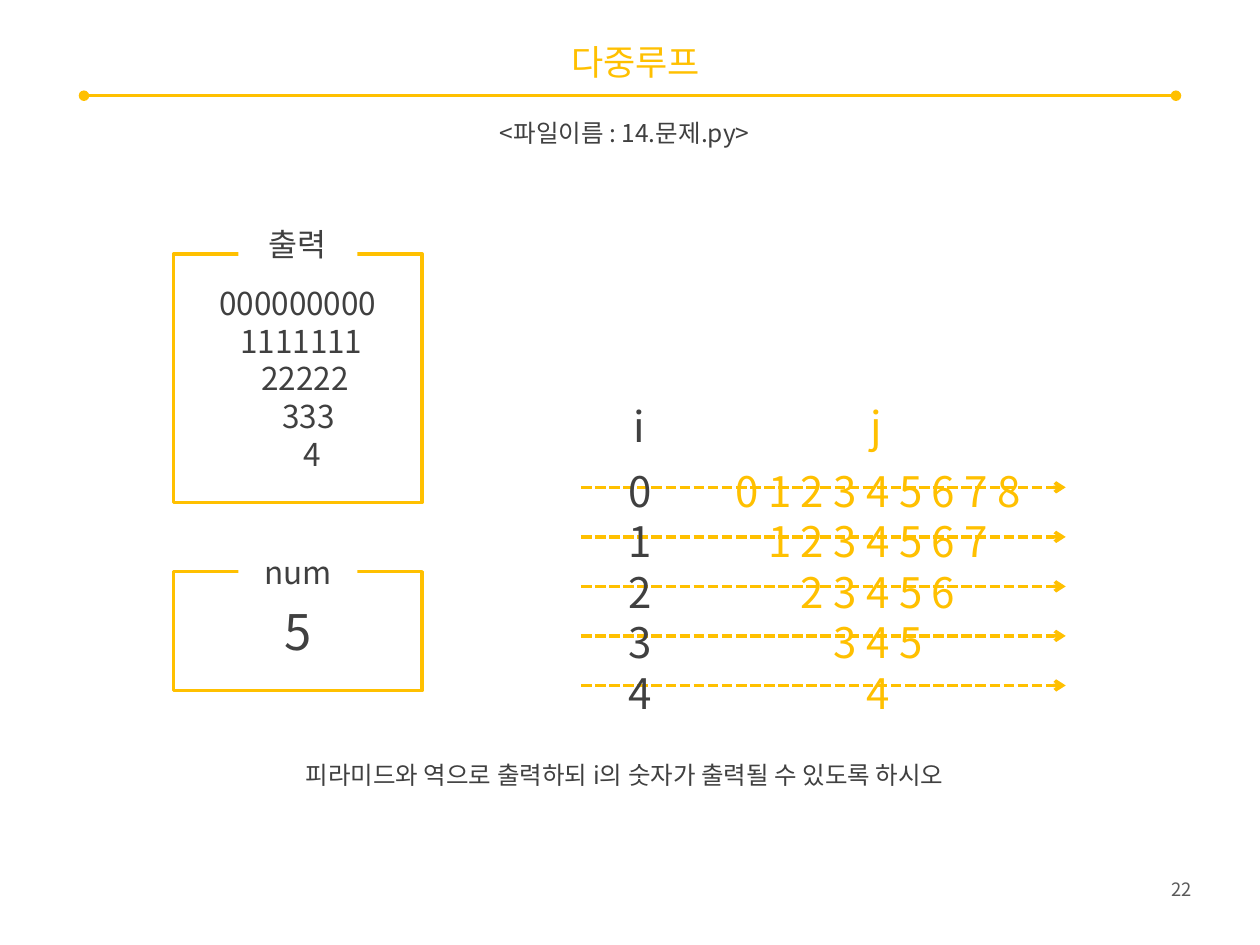
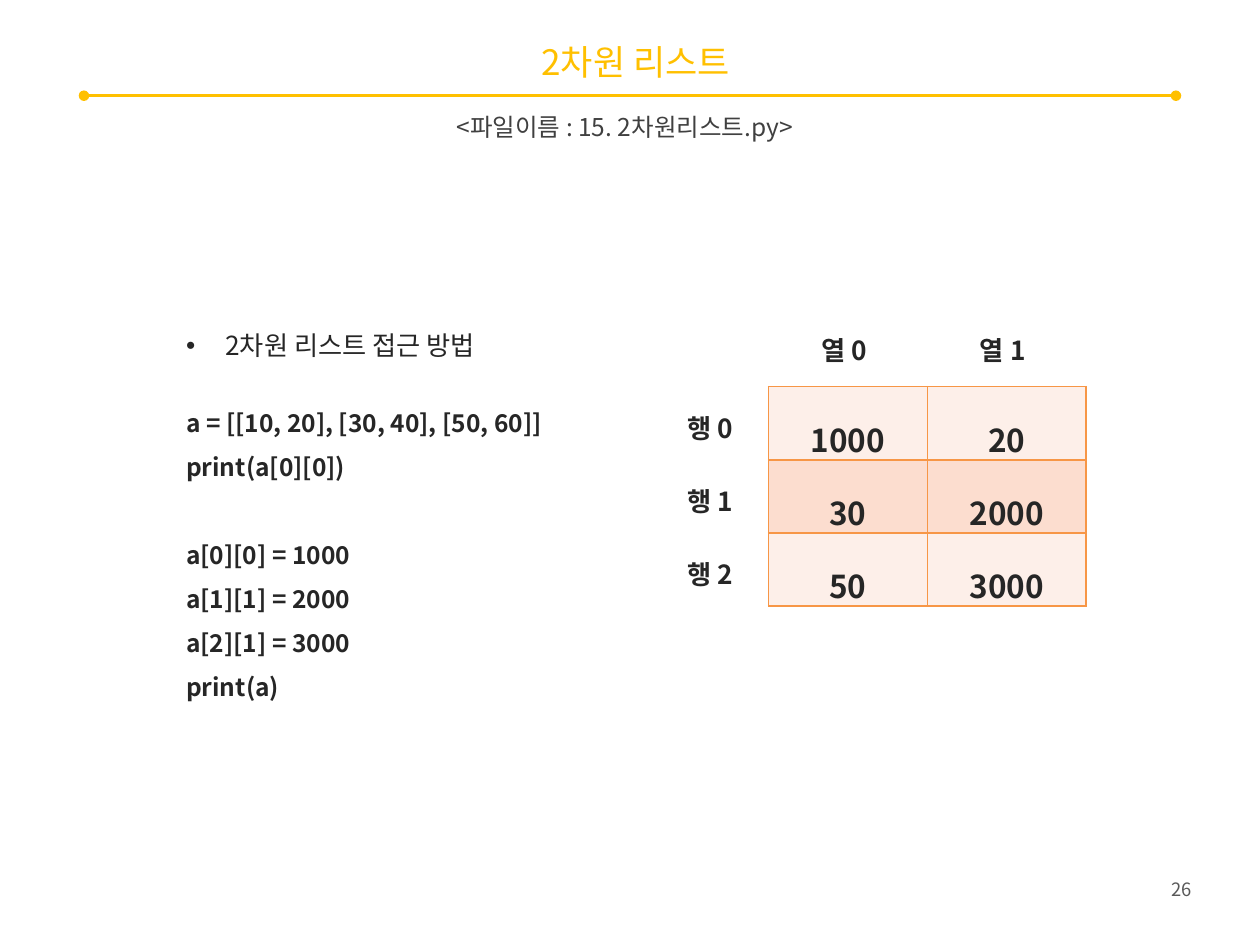
"""Build two Python lesson slides: a nested loop exercise and a two-dimensional list."""
from dataclasses import dataclass
from typing import Optional

from lxml.etree import SubElement
from pptx import Presentation
from pptx.dml.color import RGBColor
from pptx.enum.dml import MSO_LINE
from pptx.enum.shapes import MSO_CONNECTOR, MSO_SHAPE
from pptx.enum.text import MSO_ANCHOR, MSO_AUTO_SIZE, PP_ALIGN
from pptx.oxml.ns import qn
from pptx.util import Pt

FONT = "Noto Sans CJK KR"
AMBER = RGBColor(0xFF, 0xC0, 0x00)
WHITE = RGBColor(0xFF, 0xFF, 0xFF)
GRAY = RGBColor(0x59, 0x59, 0x59)
DARK = RGBColor(0x40, 0x40, 0x40)
INK = RGBColor(0x26, 0x26, 0x26)
ORANGE = RGBColor(0xF7, 0x96, 0x46)
ROW_FILLS = (RGBColor(0xFD, 0xEF, 0xE9), RGBColor(0xFC, 0xDD, 0xCF))
DIGIT_SPACE = 4


@dataclass(frozen=True)
class Box:
    left: float
    top: float
    width: float
    height: float

    def lengths(self):
        return [Pt(v) for v in (self.left, self.top, self.width, self.height)]


@dataclass(frozen=True)
class Style:
    size: float
    color: RGBColor = DARK
    bold: bool = False
    align: PP_ALIGN = PP_ALIGN.CENTER
    spacing: Optional[float] = None


TITLE = Style(20, AMBER)
BODY = Style(14)
LABEL = Style(18)
NUMBER = Style(10.5, GRAY, align=PP_ALIGN.RIGHT)
CODE = Style(14, INK, True, PP_ALIGN.LEFT, 1.5)
HEADING = Style(15, INK, True, PP_ALIGN.LEFT, 1.5)
BULLET = Style(15, INK, False, PP_ALIGN.LEFT, 1.5)
CELL = Style(18, INK, True, spacing=1.5)


def write(tf, text: str, style: Style) -> None:
    tf.text = text
    for p in tf.paragraphs:
        p.alignment = style.align
        if style.spacing:
            p.line_spacing = style.spacing
        for r in p.runs:
            r.font.size = Pt(style.size)
            r.font.bold = style.bold
            r.font.name = FONT
            r.font.color.rgb = style.color
            SubElement(r.font._element, qn("a:ea"), typeface=FONT)


def add_text(slide, box: Box, text: str, style: Style, wrap: bool = True, middle: bool = False):
    tf = slide.shapes.add_textbox(*box.lengths()).text_frame
    tf.word_wrap = wrap
    tf.auto_size = MSO_AUTO_SIZE.NONE if middle else MSO_AUTO_SIZE.SHAPE_TO_FIT_TEXT
    tf.vertical_anchor = MSO_ANCHOR.MIDDLE if middle else MSO_ANCHOR.TOP
    write(tf, text, style)
    return tf


def add_rect(slide, box: Box, text: str, style: Style, framed: bool):
    sp = slide.shapes.add_shape(MSO_SHAPE.RECTANGLE, *box.lengths())
    sp.shadow.inherit = False
    if framed:
        sp.fill.background()
        sp.line.color.rgb = AMBER
        sp.line.width = Pt(2)
    else:
        sp.fill.solid()
        sp.fill.fore_color.rgb = WHITE
        sp.line.fill.background()
    tf = sp.text_frame
    tf.word_wrap = True
    tf.vertical_anchor = MSO_ANCHOR.MIDDLE
    write(tf, text, style)
    return tf


def add_panel(slide, box: Box, label_top: float, label: str, text: str, style: Style):
    tf = add_rect(slide, box, text, style, True)
    label_width = 68
    label_left = box.left + (box.width - label_width) / 2
    add_rect(slide, Box(label_left, label_top, label_width, 34), label, LABEL, False)
    return tf


def add_line(slide, x1: float, x2: float, y: float, tail: str, head: str = "none", dashed: bool = False) -> None:
    cxn = slide.shapes.add_connector(MSO_CONNECTOR.STRAIGHT, Pt(x1), Pt(y), Pt(x2), Pt(y))
    cxn.line.color.rgb = AMBER
    cxn.line.width = Pt(2)
    if dashed:
        cxn.line.dash_style = MSO_LINE.SQUARE_DOT
    ln = cxn.line._get_or_add_ln()
    SubElement(ln, qn("a:headEnd"), type=head)
    SubElement(ln, qn("a:tailEnd"), type=tail)
    SubElement(cxn._element.spPr, qn("a:effectLst"))


def add_page(prs, title: str, filename: str, filename_top: float, number: str):
    slide = prs.slides.add_slide(prs.slide_layouts[6])
    add_line(slide, 48, 672, 54.7, "oval", "oval")
    add_text(slide, Box(645.8, 498.2, 42.5, 21), number, NUMBER, wrap=False)
    add_text(slide, Box(59.8, 21.6, 607, 27.4), title, TITLE, middle=True)
    add_text(slide, Box(48, filename_top, 618, 24.5), filename, BODY)
    return slide


def set_borders(cell) -> None:
    tcPr = cell._tc.get_or_add_tcPr()
    for i, side in enumerate(("lnL", "lnR", "lnT", "lnB")):
        ln = tcPr.makeelement(qn(f"a:{side}"), {"w": str(Pt(1))})
        fill = SubElement(ln, qn("a:solidFill"))
        SubElement(fill, qn("a:srgbClr"), val=str(ORANGE))
        tcPr.insert(i, ln)


def add_grid(slide, box: Box, values: list[list[int]]) -> None:
    rows, cols = len(values), len(values[0])
    table = slide.shapes.add_table(rows, cols, *box.lengths()).table
    for i, row in enumerate(values):
        for j, value in enumerate(row):
            cell = table.cell(i, j)
            cell.fill.solid()
            cell.fill.fore_color.rgb = ROW_FILLS[i % 2]
            cell.vertical_anchor = MSO_ANCHOR.MIDDLE
            write(cell.text_frame, str(value), CELL)
            set_borders(cell)


def add_loop_slide(prs) -> None:
    num = 5
    slide = add_page(prs, "다중루프", "<파일이름 : 14.문제.py>", 64, "22")
    for i in range(num):
        add_line(slide, 332, 609, 278.5 + 28.3 * i, "arrow", dashed=True)

    add_panel(slide, Box(99.2, 326.7, 142, 68), 309.6, "num", str(num), Style(28))
    outer = "\n".join(str(i) for i in range(num))
    inner = "\n".join(" ".join(str(j) for j in range(i, 2 * num - 1 - i)) for i in range(num))
    add_text(slide, Box(332, 321, 68, 34), outer, Style(24), middle=True)
    add_text(slide, Box(377.3, 321, 249, 34), inner, Style(24, AMBER), middle=True)
    add_text(slide, Box(490.3, 225.4, 22.3, 36), "j", Style(24, AMBER, align=PP_ALIGN.LEFT), wrap=False)
    add_text(slide, Box(355, 225.4, 21.6, 36), "i", Style(24, align=PP_ALIGN.LEFT), wrap=False)
    add_text(slide, Box(48, 430.6, 618, 24.5),
             "피라미드와 역으로 출력하되 i의 숫자가 출력될 수 있도록 하시오", BODY)

    pyramid = "\n".join(str(i) * (2 * (num - i) - 1) for i in range(num))
    tf = add_panel(slide, Box(99.2, 145.2, 142, 142), 122.4, "출력", pyramid, LABEL)
    for i, p in enumerate(tf.paragraphs):
        p._p.get_or_add_pPr().set("marL", str(Pt(DIGIT_SPACE * i)))


def add_list_slide(prs) -> None:
    slide = add_page(prs, "2차원 리스트", "<파일이름 : 15. 2차원리스트.py>", 60.5, "26")
    code = ("a = [[10, 20], [30, 40], [50, 60]]", "print(a[0][0])", "a[0][0] = 1000",
            "a[1][1] = 2000", "a[2][1] = 3000", "print(a)")
    tf = add_text(slide, Box(99.2, 221, 234, 185), "\n".join(code), CODE)
    tf.paragraphs[2].space_before = Pt(25.2)

    tf = add_text(slide, Box(99.2, 175.7, 214, 34.5), "2차원 리스트 접근 방법", BULLET)
    pPr = tf.paragraphs[0]._p.get_or_add_pPr()
    pPr.set("marL", str(Pt(22.5)))
    pPr.set("indent", str(-Pt(22.5)))
    SubElement(pPr, qn("a:buFont"), typeface="Arial")
    SubElement(pPr, qn("a:buChar"), char="•")

    grid = Box(439.2, 221, 181.4, 125.3)
    values = [[1000, 20], [30, 2000], [50, 3000]]
    add_grid(slide, grid, values)
    for j in range(len(values[0])):
        left = grid.left + 23 + j * grid.width / len(values[0])
        add_text(slide, Box(left, 178.6, 45.4, 34.5), f"열 {j}", HEADING)
    for i in range(len(values)):
        top = grid.top + 2 + i * grid.height / len(values)
        add_text(slide, Box(386, top, 45.4, 34.5), f"행 {i}", HEADING)


def main() -> None:
    prs = Presentation()
    prs.slide_width, prs.slide_height = Pt(720), Pt(540)
    add_loop_slide(prs)
    add_list_slide(prs)
    prs.save("out.pptx")


main()
